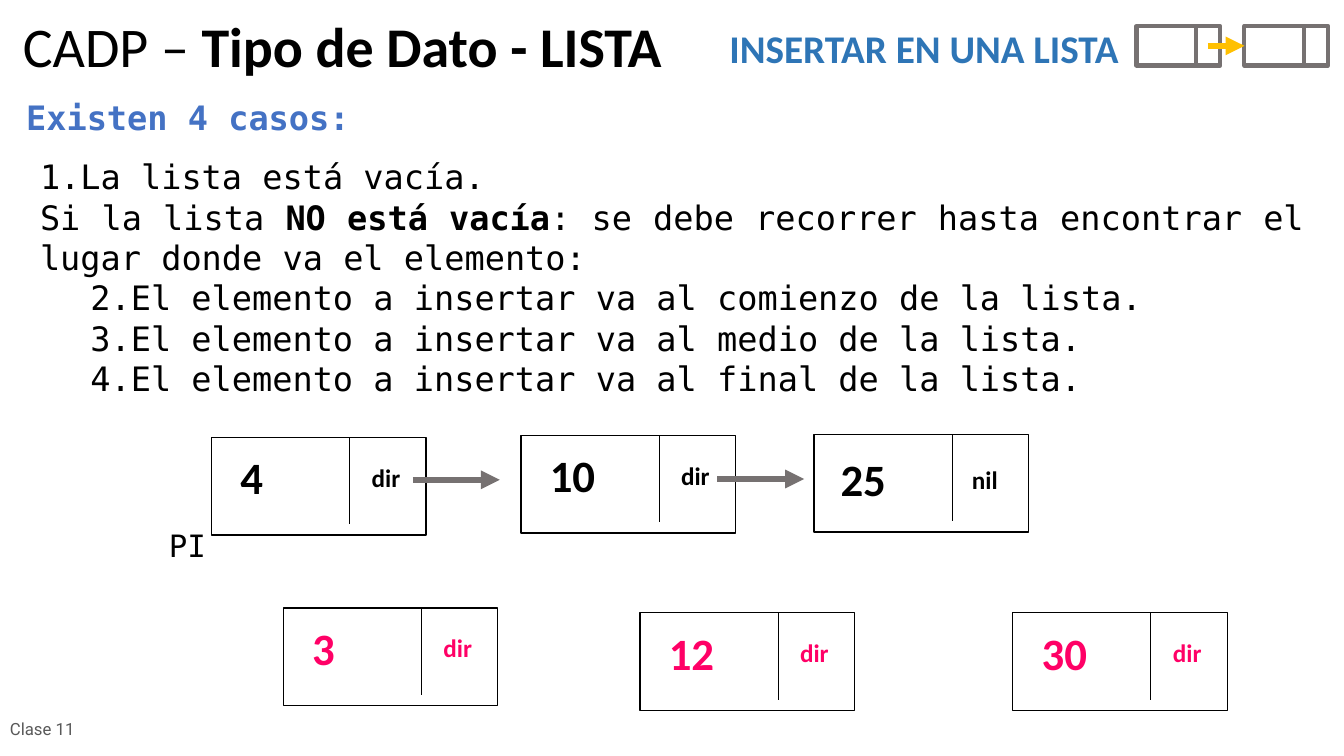
from lxml.etree import SubElement
from pptx import Presentation
from pptx.dml.color import RGBColor
from pptx.enum.shapes import MSO_CONNECTOR as Connector, MSO_SHAPE as Shape
from pptx.enum.text import MSO_ANCHOR as Anchor, PP_ALIGN as Align
from pptx.oxml.ns import qn
from pptx.util import Cm, Pt

BLACK = RGBColor(0, 0, 0)
DARK_GRAY = RGBColor(0x59, 0x59, 0x59)
GRAY = RGBColor(0x76, 0x71, 0x71)
GOLD = RGBColor(0xFF, 0xC0, 0x00)
HEADING_BLUE = RGBColor(0x2E, 0x75, 0xB6)
CASES_BLUE = RGBColor(0x44, 0x72, 0xC4)
PINK = RGBColor(0xFF, 0x00, 0x66)
SANS, MONO, FOOTER = "Calibri", "DejaVu Sans Mono", "Roboto"


def write_text(paragraph, text, *, font=SANS, size=24, color=BLACK, bold=False):
    run = paragraph.add_run()
    run.text = text
    run.font.name = font
    run.font.size = Pt(size)
    run.font.color.rgb = color
    run.font.bold = bold


class ListSlide:
    """Draws linked list nodes, arrows and text on one slide."""

    def __init__(self, presentation):
        self.slide = presentation.slides.add_slide(presentation.slide_layouts[6])

    def text_box(self, left, top, width, height, anchor=Anchor.TOP):
        box = self.slide.shapes.add_textbox(Cm(left), Cm(top), Cm(width), Cm(height))
        box.text_frame.word_wrap = True
        box.text_frame.vertical_anchor = anchor
        return box.text_frame

    def label(self, text, left, top, width, height, anchor=Anchor.TOP, **style):
        frame = self.text_box(left, top, width, height, anchor)
        write_text(frame.paragraphs[0], text, **style)

    def rectangle(self, left, top, width, height, color, weight):
        shape = self.slide.shapes.add_shape(
            Shape.RECTANGLE, Cm(left), Cm(top), Cm(width), Cm(height))
        shape.shadow.inherit = False
        shape.fill.background()
        shape.line.color.rgb = color
        shape.line.width = Pt(weight)
        return shape

    def line(self, x1, y1, x2, y2, color, weight, arrow=False):
        connector = self.slide.shapes.add_connector(
            Connector.STRAIGHT, Cm(x1), Cm(y1), Cm(x2), Cm(y2))
        connector.line.color.rgb = color
        connector.line.width = Pt(weight)
        if arrow:
            SubElement(connector.line._get_or_add_ln(), qn("a:tailEnd"), type="triangle")
        SubElement(connector._element.spPr, qn("a:effectLst"))
        return connector

    def icon_node(self, left, top):
        shape = self.rectangle(left, top, 2.11, 0.99, GRAY, 3)
        self.line(left + 1.5, top, left + 1.5, top + 0.99, GRAY, 3)
        return shape

    def node(self, left, top, value, link="dir", color=BLACK, shift=(0, 0)):
        self.rectangle(left, top, 5.41, 2.46, BLACK, 1)
        self.line(left + 3.48, top, left + 3.48, top + 2.19, BLACK, 0.5)
        text_left, text_top = left + shift[0], top + shift[1]
        self.label(value, text_left + 0.48, text_top + 0.19, 2.5, 1.63,
                   size=32, color=color, bold=True)
        self.label(link, text_left + 3.79, text_top + 0.5, 1.6, 1.02,
                   size=18, color=color, bold=True)


def main():
    presentation = Presentation()
    presentation.slide_width, presentation.slide_height = Cm(33.88), Cm(19.05)
    page = ListSlide(presentation)

    title = page.text_box(0.33, 0.36, 23.57, 1.93).paragraphs[0]
    title.line_spacing = 0.9
    write_text(title, "CADP – ", size=40)
    write_text(title, "Tipo de Dato - LISTA", size=40, bold=True)
    page.label("Clase 11", 0, 17.83, 2.72, 1.09, Anchor.MIDDLE,
               font=FOOTER, size=12, color=DARK_GRAY)
    page.label("INSERTAR EN UNA LISTA", 18.14, 0.48, 12.4, 1.45,
               size=28, color=HEADING_BLUE, bold=True)

    page.icon_node(28.65, 0.66)
    next_icon = page.icon_node(31.37, 0.66)
    icon_arrow = page.line(30.45, 1.155, 31.37, 1.155, GOLD, 4.5, arrow=True)
    icon_arrow.end_connect(next_icon, 1)

    page.label("Existen 4 casos:", 0.41, 2.31, 12.01, 1.27,
               font=MONO, color=CASES_BLUE, bold=True)
    cases = [
        (0, [("1.La lista está vacía.", False)]),
        (0, [("Si la lista ", False), ("NO está vacía", True),
             (": se debe recorrer hasta encontrar el lugar donde va el elemento:", False)]),
    ]
    places = ["comienzo", "medio", "final"]
    cases += [(1, [(f"{number}.El elemento a insertar va al {place} de la lista.", False)])
              for number, place in enumerate(places, 2)]
    frame = page.text_box(0.76, 3.81, 32.36, 6.35)
    for index, (level, runs) in enumerate(cases):
        paragraph = frame.add_paragraph() if index else frame.paragraphs[0]
        paragraph.alignment = Align.JUSTIFY
        paragraph.level = level
        if level:
            properties = paragraph._p.get_or_add_pPr()
            properties.set("marL", str(Cm(1.27)))
            properties.set("indent", "0")
        for text, bold in runs:
            write_text(paragraph, text, font=MONO, bold=bold)

    page.node(5.33, 11.02, "4")
    page.node(13.13, 10.97, "10")
    page.node(20.52, 10.95, "25", "nil", shift=(-0.06, 0.13))
    for left, top in [(10.41, 12.09), (18.08, 12.07)]:
        page.line(left, top, left + 2.19, top, GRAY, 4.5, arrow=True)
    page.label("PI", 4.01, 13.16, 2.39, 1.19, font=MONO, size=22)
    for left, top, value in [(7.14, 15.32, "3"), (16.13, 15.44, "12"), (25.53, 15.44, "30")]:
        page.node(left, top, value, color=PINK)

    presentation.save("out.pptx")


if __name__ == "__main__":
    main()
